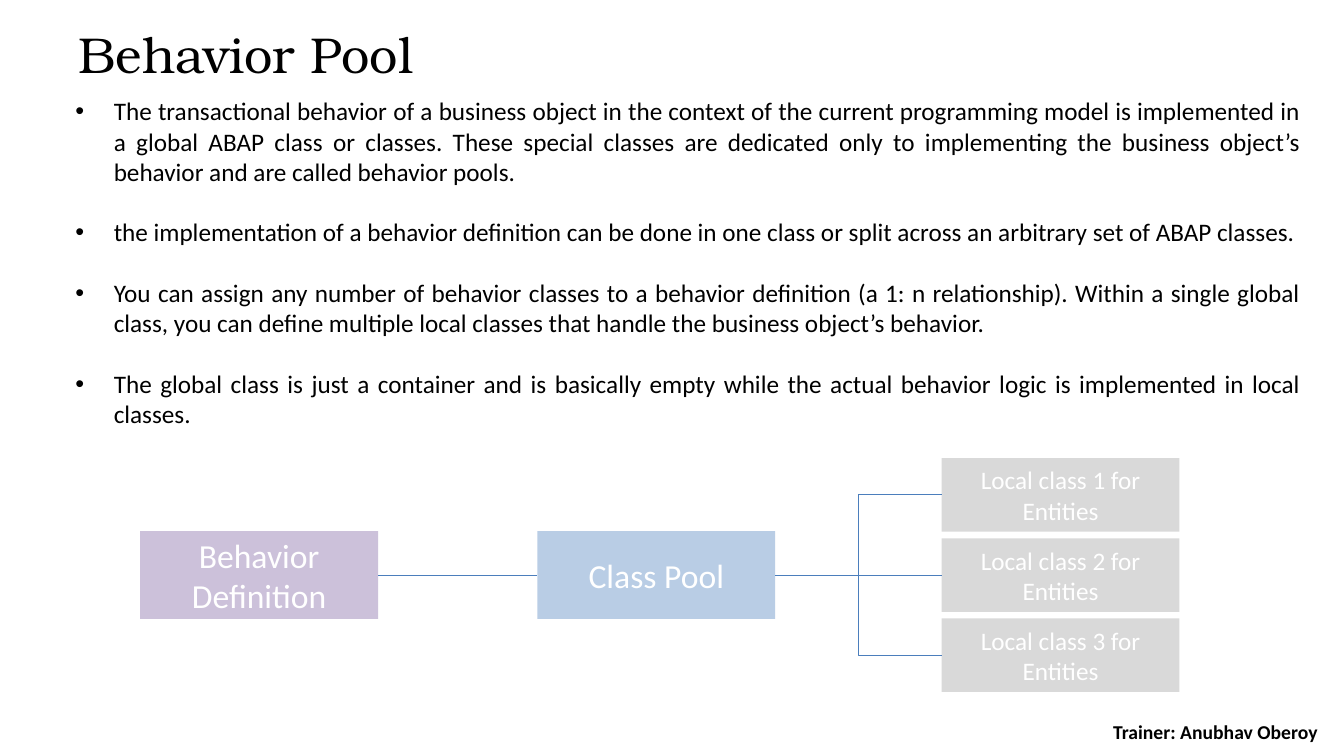
from dataclasses import dataclass

from lxml import etree
from pptx import Presentation
from pptx.dml.color import RGBColor
from pptx.enum.shapes import MSO_CONNECTOR, MSO_SHAPE
from pptx.enum.text import MSO_ANCHOR, PP_ALIGN
from pptx.oxml.ns import qn
from pptx.util import Inches, Pt

RECTANGLE = MSO_SHAPE.RECTANGLE
STRAIGHT, ELBOW = MSO_CONNECTOR.STRAIGHT, MSO_CONNECTOR.ELBOW
LEFT, CENTER, JUSTIFY = PP_ALIGN.LEFT, PP_ALIGN.CENTER, PP_ALIGN.JUSTIFY
TOP, MIDDLE = MSO_ANCHOR.TOP, MSO_ANCHOR.MIDDLE
LEFT_SIDE, RIGHT_SIDE = 1, 3

SLIDE_WIDTH, SLIDE_HEIGHT = Inches(13.33), Inches(7.5)
COLUMN, ROW = SLIDE_WIDTH / 100, SLIDE_HEIGHT / 100

BOX_WIDTH = 17.7
MAIN_HEIGHT, LOCAL_HEIGHT = 11.6, 9.73
DIAGRAM_AXIS = 76.07
LOCAL_PITCH = 10.6
DEFINITION_COLUMN, POOL_COLUMN, LOCAL_COLUMN = 10.43, 39.98, 70.06
WIDE_INSETS, NARROW_INSETS = (0.13, 0.07), (0.1, 0.05)


@dataclass(frozen=True)
class Theme:
    heading_font: str = "TeX Gyre Bonum"
    body_font: str = "Calibri"
    ink: str = "000000"
    box_text: str = "FFFFFF"
    definition: str = "CCC1DA"
    pool: str = "B9CDE5"
    local: str = "D9D9D9"
    link: str = "4B7EBC"
    title_size: int = 36
    main_size: int = 24
    body_size: int = 18
    footer_size: int = 14
    link_width: float = 0.75


THEME = Theme()

POINTS = [
    "The transactional behavior of a business object in the context of the current "
    "programming model is implemented in a global ABAP class or classes. These special "
    "classes are dedicated only to implementing the business object’s behavior and are "
    "called behavior pools.",
    "the implementation of a behavior definition can be done in one class or split "
    "across an arbitrary set of ABAP classes.",
    "You can assign any number of behavior classes to a behavior definition (a 1: n "
    "relationship). Within a single global class, you can define multiple local classes "
    "that handle the business object’s behavior.",
    "The global class is just a container and is basically empty while the actual "
    "behavior logic is implemented in local classes.",
]


def grid(left, top, width, height):
    return (round(left * COLUMN), round(top * ROW),
            round(width * COLUMN), round(height * ROW))


def add_bullet(paragraph):
    properties = paragraph._p.get_or_add_pPr()
    properties.set("marL", str(Inches(0.38)))
    properties.set("indent", str(-Inches(0.38)))
    etree.SubElement(properties, qn("a:buFont")).set("typeface", "Arial")
    etree.SubElement(properties, qn("a:buChar")).set("char", "•")


def write(holder, *lines, size, font=THEME.body_font, color=THEME.ink, bold=False,
          align=LEFT, anchor=MIDDLE, insets=NARROW_INSETS, bullets=False, gap=0):
    frame = holder.text_frame
    frame.word_wrap = True
    frame.vertical_anchor = anchor
    frame.margin_left = frame.margin_right = Inches(insets[0])
    frame.margin_top = frame.margin_bottom = Inches(insets[1])
    for index, line in enumerate(lines):
        paragraph = frame.add_paragraph() if index else frame.paragraphs[0]
        paragraph.alignment = align
        if index and gap:
            paragraph.space_before = Pt(gap)
        if bullets:
            add_bullet(paragraph)
        run = paragraph.add_run()
        run.text = line
        run.font.name = font
        run.font.size = Pt(size)
        run.font.bold = bold
        run.font.color.rgb = RGBColor.from_string(color)


def add_text(slide, area, *lines, **text_format):
    write(slide.shapes.add_textbox(*grid(*area)), *lines, **text_format)


def add_class_box(slide, label, column, axis, height, fill, size):
    area = grid(column, axis - height / 2, BOX_WIDTH, height)
    box = slide.shapes.add_shape(RECTANGLE, *area)
    box.shadow.inherit = False
    box.fill.solid()
    box.fill.fore_color.rgb = RGBColor.from_string(fill)
    box.line.fill.background()
    write(box, label, size=size, color=THEME.box_text, align=CENTER)
    return box


def link(slide, source, target, kind=STRAIGHT):
    connector = slide.shapes.add_connector(
        kind, source.left + source.width, source.top + source.height // 2,
        target.left, target.top + target.height // 2)
    connector.begin_connect(source, RIGHT_SIDE)
    connector.end_connect(target, LEFT_SIDE)
    connector.line.color.rgb = RGBColor.from_string(THEME.link)
    connector.line.width = Pt(THEME.link_width)
    etree.SubElement(connector._element.spPr, qn("a:effectLst"))


def add_diagram(slide):
    definition = add_class_box(slide, "Behavior Definition", DEFINITION_COLUMN,
                               DIAGRAM_AXIS, MAIN_HEIGHT, THEME.definition, THEME.main_size)
    pool = add_class_box(slide, "Class Pool", POOL_COLUMN,
                         DIAGRAM_AXIS, MAIN_HEIGHT, THEME.pool, THEME.main_size)
    link(slide, definition, pool)
    for number in (1, 2, 3):
        offset = (number - 2) * LOCAL_PITCH
        local_class = add_class_box(slide, f"Local class {number} for Entities", LOCAL_COLUMN,
                                    DIAGRAM_AXIS + offset, LOCAL_HEIGHT,
                                    THEME.local, THEME.body_size)
        link(slide, pool, local_class, ELBOW if offset else STRAIGHT)


def main():
    deck = Presentation()
    deck.slide_width, deck.slide_height = SLIDE_WIDTH, SLIDE_HEIGHT
    slide = deck.slides.add_slide(deck.slide_layouts[6])
    add_text(slide, (4.88, 1.87, 90, 10.4), "Behavior Pool", size=THEME.title_size,
             font=THEME.heading_font, insets=WIDE_INSETS)
    add_text(slide, (81.25, 94.13, 18.38, 5.2), "Trainer: Anubhav Oberoy",
             size=THEME.footer_size, bold=True, align=CENTER, insets=WIDE_INSETS)
    add_text(slide, (4.88, 12, 92.65, 45.73), *POINTS, size=THEME.body_size,
             align=JUSTIFY, anchor=TOP, bullets=True, gap=21.7)
    add_diagram(slide)
    deck.save("out.pptx")


if __name__ == "__main__":
    main()
